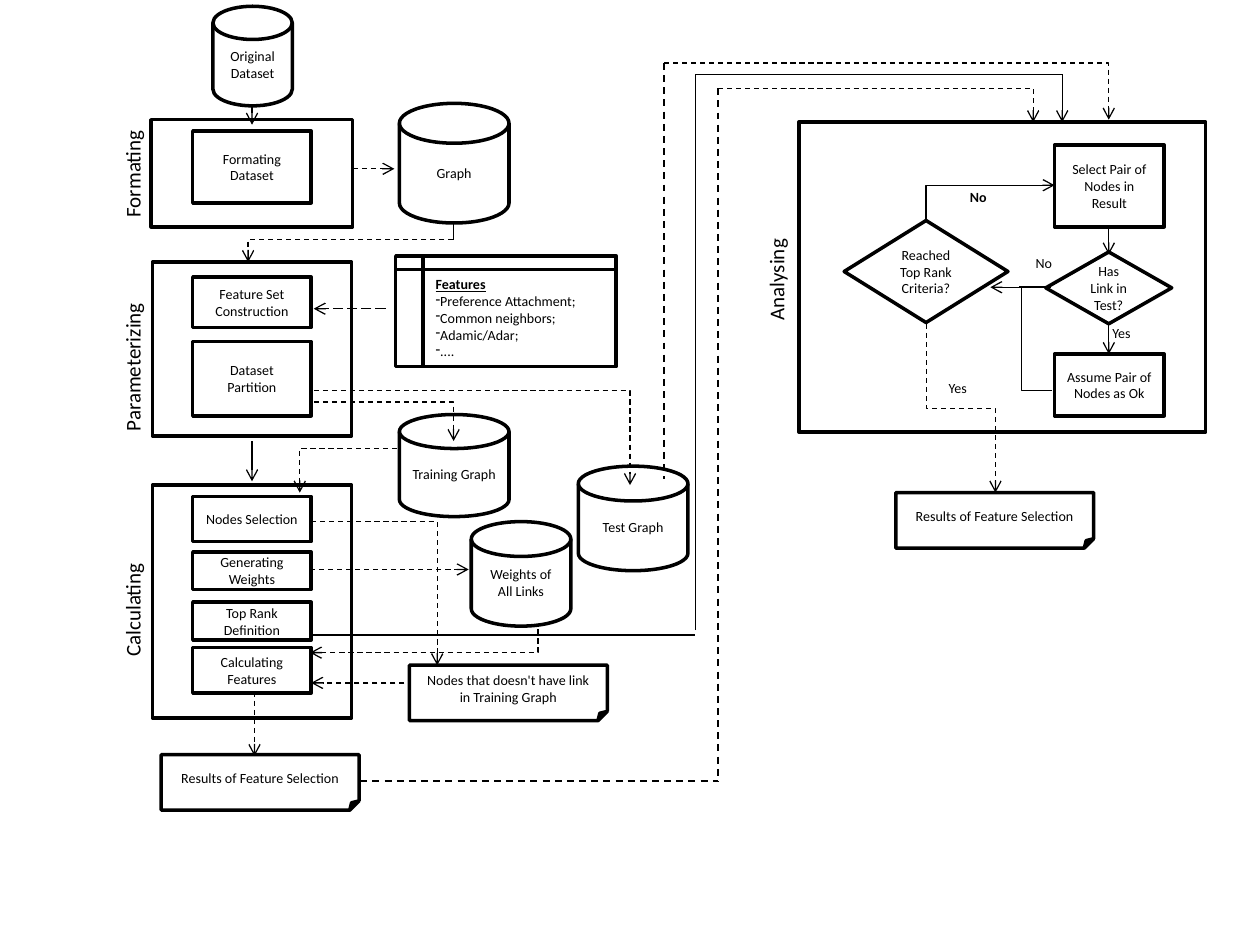
from dataclasses import dataclass

from lxml.etree import SubElement
from pptx import Presentation
from pptx.dml.color import RGBColor
from pptx.enum.dml import MSO_LINE
from pptx.enum.shapes import MSO_CONNECTOR, MSO_SHAPE
from pptx.enum.text import MSO_ANCHOR, PP_ALIGN
from pptx.oxml.ns import qn
from pptx.util import Inches, Pt


@dataclass(frozen=True)
class Theme:
    ink: RGBColor = RGBColor(0, 0, 0)
    font: str = "Calibri"
    body: int = 8
    heading: int = 12
    border: float = 2
    thin: float = 0.75
    medium: float = 0.99


THEME = Theme()
COLUMNS, ROWS = 100, 75
DASH, LONG_DASH = MSO_LINE.DASH, MSO_LINE.LONG_DASH

deck = Presentation()
deck.slide_width, deck.slide_height = Inches(10), Inches(7.5)
slide = deck.slides.add_slide(deck.slide_layouts[6])


def style(paragraph, size, align):
    paragraph.alignment = align
    paragraph.font.name = THEME.font
    paragraph.font.size = Pt(size)
    paragraph.font.color.rgb = THEME.ink


class Region:
    """Places parts in grid columns and rows counted from its own corner."""

    def __init__(self, column, row, width=0, height=0):
        self.column, self.row = column, row
        if width:
            self.node(MSO_SHAPE.RECTANGLE, (0, 0, width, height))

    def point(self, column, row):
        return (int((self.column + column) * deck.slide_width / COLUMNS),
                int((self.row + row) * deck.slide_height / ROWS))

    def box(self, column, row, width, height):
        left, top = self.point(column, row)
        right, bottom = self.point(column + width, row + height)
        return left, top, right - left, bottom - top

    def node(self, kind, box, text="", align=PP_ALIGN.CENTER):
        node = slide.shapes.add_shape(kind, *self.box(*box))
        node.shadow.inherit = False
        node.fill.background()
        node.line.color.rgb = THEME.ink
        node.line.width = Pt(THEME.border)
        node.text_frame.word_wrap = True
        node.text_frame.vertical_anchor = MSO_ANCHOR.MIDDLE
        if text:
            node.text_frame.text = text
            for paragraph in node.text_frame.paragraphs:
                style(paragraph, THEME.body, align)
        return node

    def step(self, box, text):
        return self.node(MSO_SHAPE.RECTANGLE, box, text)

    def store(self, box, text):
        return self.node(MSO_SHAPE.FLOWCHART_MAGNETIC_DISK, box, text)

    def decision(self, box, text):
        return self.node(MSO_SHAPE.DIAMOND, box, text)

    def document(self, column, row, text):
        return self.node(MSO_SHAPE.FOLDED_CORNER, (column, row, 15.7, 4.4), text)

    def label(self, box, text, size=THEME.body, align=PP_ALIGN.LEFT, bold=False):
        label = slide.shapes.add_textbox(*self.box(*box))
        label.text_frame.word_wrap = True
        label.text_frame.text = text
        style(label.text_frame.paragraphs[0], size, align)
        if bold:
            label.text_frame.paragraphs[0].font.bold = True
        return label

    def title(self, box, text, align=PP_ALIGN.CENTER):
        self.label(box, text, THEME.heading, align).rotation = 270

    def link(self, start, end, dash=None, arrow="tailEnd", width=THEME.thin,
             kind=MSO_CONNECTOR.STRAIGHT):
        link = slide.shapes.add_connector(kind, *self.point(*start), *self.point(*end))
        link.line.color.rgb = THEME.ink
        link.line.width = Pt(width)
        if dash:
            link.line.dash_style = dash
        properties = link._element.spPr
        if arrow:
            SubElement(properties.find(qn("a:ln")), qn("a:" + arrow), type="arrow")
        SubElement(properties, qn("a:effectLst"))
        return link

    def corner(self, start, end, dash=None, arrow="tailEnd"):
        # One bend: across first, then up or down
        link = self.link(start, end, dash, arrow, kind=MSO_CONNECTOR.ELBOW)
        link._element.spPr.find(qn("a:prstGeom")).set("prst", "bentConnector2")

    def drop(self, start, end, dash=None):
        # Two bends: down, across, down; an elbow turned by a quarter
        middle_x, middle_y = (start[0] + end[0]) / 2, (start[1] + end[1]) / 2
        half_w, half_h = (end[1] - start[1]) / 2, (end[0] - start[0]) / 2
        link = self.link((middle_x + half_w, middle_y - half_h),
                         (middle_x - half_w, middle_y + half_h),
                         dash, kind=MSO_CONNECTOR.ELBOW)
        link._element.spPr.find(qn("a:xfrm")).set("rot", str(270 * 60000))


def formating(*box):
    region = Region(*box)
    region.title((-9.4, 2.8, 15.8, 3), "Formating")
    region.store((4.9, -9, 6.3, 7.9), "Original\nDataset")
    region.step((3.3, 0.9, 9.4, 5.7), "Formating Dataset")
    region.store((19.7, -1.3, 8.7, 9.5), "Graph")
    region.link((8, -1.1), (8, 0.4))
    region.link((16, 3.9), (19.3, 3.9), DASH)
    region.link((24, 9.5), (24, 8.2), arrow=None)
    region.corner((24, 9.5), (7.7, 11.3), DASH)


def feature_list(region, box):
    features = region.node(
        MSO_SHAPE.FLOWCHART_INTERNAL_STORAGE, box,
        "Features\nPreference Attachment;\nCommon neighbors;\nAdamic/Adar;\n....",
        PP_ALIGN.LEFT)
    features.text_frame.vertical_anchor = MSO_ANCHOR.TOP
    heading, *items = features.text_frame.paragraphs
    heading.font.bold = heading.font.underline = True
    for item in items:
        SubElement(item._p.get_or_add_pPr(), qn("a:buChar"), char="-")
        # Bullets come before the default run properties
        properties = item._p.pPr
        for defaults in properties.findall(qn("a:defRPr")):
            properties.append(defaults)


def parameterizing(*box):
    region = Region(*box)
    region.title((-9.5, 5, 15.8, 3), "Parameterizing", PP_ALIGN.LEFT)
    region.step((3.2, 1.2, 9.4, 4), "Feature Set\nConstruction")
    region.step((3.2, 6.3, 9.4, 5.9), "Dataset Partition")
    feature_list(region, (19.3, -0.5, 17.5, 8.8))
    region.store((19.6, 12.1, 8.7, 8.1), "Training Graph")
    region.store((33.8, 16.2, 8.7, 8.3), "Test Graph")
    region.link((18.5, 3.7), (12.8, 3.7), LONG_DASH)
    region.corner((12.8, 11.1), (23.9, 14.2), DASH)
    region.corner((12.8, 10.2), (37.9, 17.7), DASH)
    region.corner((19.4, 14.8), (11.7, 18.3), DASH)
    region.link((7.9, 14.2), (7.9, 17.4))


def calculating(*box):
    region = Region(*box)
    region.title((-6.7, 8, 10.2, 3), "Calculating", PP_ALIGN.LEFT)
    for row, height, text in ((0.9, 3.6, "Nodes Selection"),
                              (5.3, 3, "Generating Weights"),
                              (9.3, 3, "Top Rank Definition"),
                              (12.9, 3.6, "Calculating Features")):
        region.step((3.2, row, 9.4, height), text)
    region.store((25.3, 2.9, 7.9, 8.3), "Weights of All Links")
    region.document(20.4, 14.3, "Nodes that doesn't have link in Training Graph")
    region.document(0.7, 21.4, "Results of Feature Selection")
    region.corner((12.6, 2.9), (22.6, 14.3), DASH)
    region.corner((12.5, 13.3), (30.6, 11.2), DASH, "headEnd")
    for start, end in (((12.5, 6.7), (25.1, 6.7)), ((20, 15.7), (12.6, 15.7)),
                       ((8.1, 16.4), (8.1, 21.5))):
        region.link(start, end, DASH)


def analysing(*box):
    region = Region(*box)
    region.title((-14.1, 11, 24.6, 3), "Analysing")
    region.step((20.3, 1.8, 8.7, 6.5), "Select Pair of Nodes in Result")
    region.step((20.3, 18.4, 8.7, 4.9), "Assume Pair of Nodes as Ok")
    region.decision((3.6, 7.8, 13, 8.1), "Reached Top Rank Criteria?")
    region.decision((19.6, 10.3, 10, 5.7), "Has Link in Test?")
    region.document(7.7, 29.4, "Results of Feature Selection")
    region.link((20.1, 21.3), (15.2, 13.1), kind=MSO_CONNECTOR.ELBOW)
    region.link((20, 13.1), (17.5, 13.1), arrow=None, width=THEME.medium)
    region.corner((20.3, 5), (10.1, 7.8), arrow="headEnd")
    region.drop((10.1, 16), (15.6, 29.4), DASH)
    region.link((24.6, 8.3), (24.6, 10.5))
    region.link((24.6, 16.1), (24.6, 18.4))
    region.label((12.6, 4.8, 6.3, 2.3), "No", bold=True)
    region.label((17.8, 10, 3.8, 2.3), "No")
    region.label((10.9, 19.9, 4.3, 2.3), "Yes")
    region.label((23.9, 15.6, 4.3, 2.3), "Yes")


def feeds_to_analysis(*corner):
    region = Region(*corner)
    # Test graph and feature results, dashed
    for start, end in (((0, 0), (0, 33)), ((-24.1, 57), (4.3, 57)), ((4.3, 2), (4.3, 57))):
        region.link(start, end, DASH, None, THEME.medium)
    region.corner((0, 0), (35.3, 4.5), DASH)
    region.corner((4.3, 2), (29.3, 4.7), DASH)
    # Top rank definition, solid
    for start, end in (((-28, 45.4), (2.5, 45.4)), ((2.5, 45), (2.5, 0.9)),
                       ((2.5, 0.9), (31.6, 0.9))):
        region.link(start, end, arrow=None)
    region.link((31.6, 0.9), (31.6, 4.7))


formating(12, 9.5, 16, 8.5)
parameterizing(12.1, 20.8, 15.8, 13.8)
calculating(12.1, 38.5, 15.8, 18.5)
analysing(63.4, 9.7, 32.3, 24.6)
feeds_to_analysis(52.7, 5)
deck.save("out.pptx")
